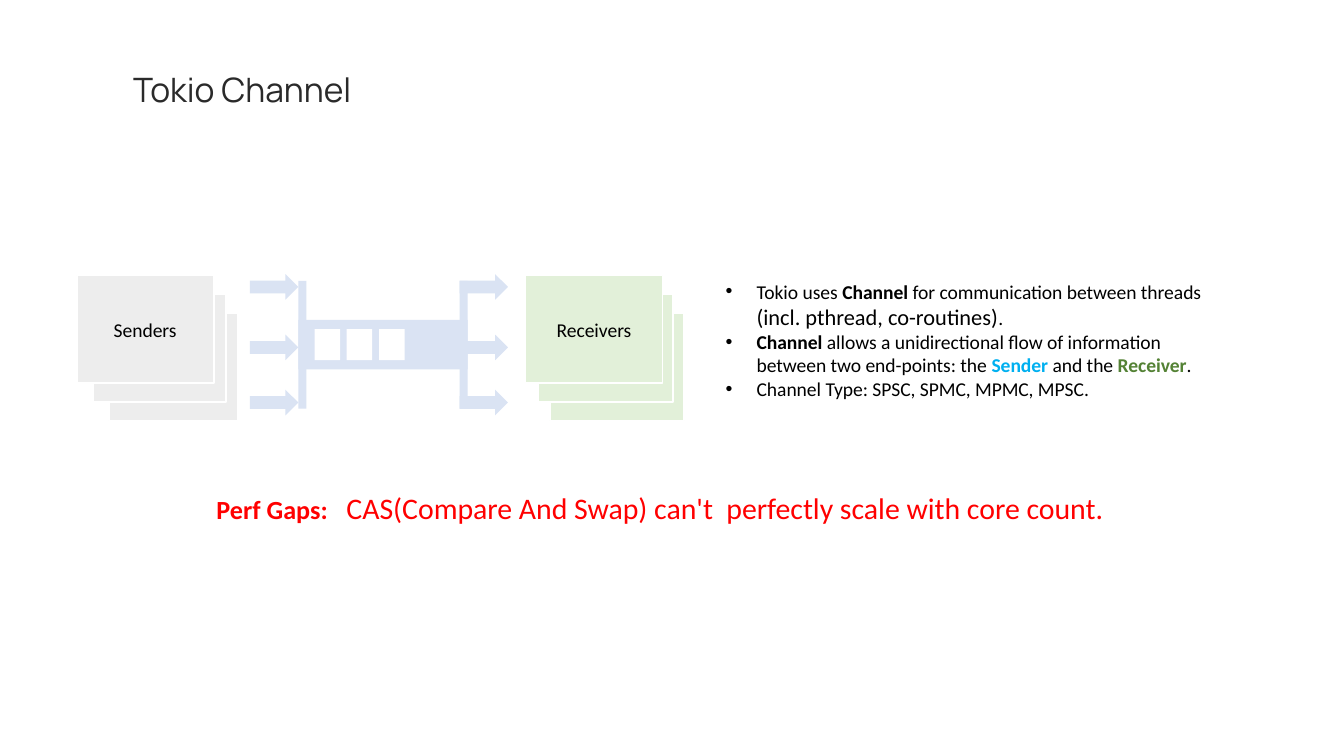
from lxml.etree import SubElement
from pptx import Presentation
from pptx.dml.color import RGBColor
from pptx.enum.shapes import MSO_SHAPE
from pptx.enum.text import MSO_ANCHOR, PP_ALIGN
from pptx.oxml.ns import qn
from pptx.util import Inches, Pt

# Content
COLORS = {
    "title": "2A2A2A", "text": "000000", "sender": "00B0F0", "receiver": "548235",
    "warning": "FF0000", "senders": "EDEDED", "receivers": "E2F0D9",
    "channel": "DAE3F3", "white": "FFFFFF",
}
TITLE = [[("Tokio Channel", {"size": 18, "font": "Manrope", "color": "title"})]]
BULLETS = [
    [("Tokio uses ", {}), ("Channel", {"bold": True}),
     (" for communication between threads ", {}),
     ("(incl. pthread, co-routines)", {"size": 12}), (".", {})],
    [("Channel", {"bold": True}),
     (" allows a unidirectional flow of information between two end-points: the ", {}),
     ("Sender", {"bold": True, "color": "sender"}), (" and the ", {}),
     ("Receiver", {"bold": True, "color": "receiver"}), (".", {})],
    [("Channel Type: SPSC, SPMC, MPMC, MPSC.", {})],
]
PERFORMANCE_GAP = [[
    ("Perf Gaps:  ", {"size": 14, "bold": True, "color": "warning"}),
    (" CAS(Compare And Swap) can't  perfectly scale with core count.",
     {"size": 16, "color": "warning"}),
]]
# Each stack: label, fill, left edge, step to the right, narrowing per card
STACKS = [
    ("Senders", "senders", 0.57, 0.12, 0.03),
    ("Receivers", "receivers", 3.91, 0.09, 0.01),
]

# Diagram grid, in inches
SLIDE_WIDTH, SLIDE_HEIGHT = 10, 10 * 9 / 16
CARD_TOP, CARD_WIDTH, CARD_HEIGHT, CARD_DROP, CARD_COUNT = 2.05, 1.02, 0.8, 0.14, 3
ARROW_WIDTH, ARROW_HEIGHT = 0.36, 0.19
ARROW_TOPS = (2.04, 2.49, 2.9)
PIPE_LEFT, PIPE_RIGHT, PIPE_TOP, PIPE_HEIGHT = 2.22, 3.48, 2.38, 0.37
BAR_WIDTH, BAR_TOP, BAR_HEIGHT = 0.06, 2.09, 0.95
SLOT_LEFT, SLOT_STEP, SLOT_WIDTH, SLOT_HEIGHT, SLOT_COUNT = 2.34, 0.24, 0.19, 0.23, 3


def color(name):
    return RGBColor.from_string(COLORS[name])


def write_text(frame, paragraphs, margins=(0.07, 0.04), align=None,
               anchor=MSO_ANCHOR.TOP, bullet=False):
    frame.word_wrap = True
    frame.vertical_anchor = anchor
    frame.margin_left = frame.margin_right = Inches(margins[0])
    frame.margin_top = frame.margin_bottom = Inches(margins[1])
    for index, runs in enumerate(paragraphs):
        paragraph = frame.paragraphs[0] if index == 0 else frame.add_paragraph()
        paragraph.alignment = align
        if bullet:
            properties = paragraph._p.get_or_add_pPr()
            properties.set("marL", str(Inches(0.23)))
            properties.set("indent", str(-Inches(0.23)))
            SubElement(properties, qn("a:buFont"), typeface="Arial")
            SubElement(properties, qn("a:buChar"), char="•")
        for text, style in runs:
            run = paragraph.add_run()
            run.text = text
            run.font.size = Pt(style.get("size", 10.5))
            run.font.name = style.get("font", "Calibri")
            run.font.bold = style.get("bold", False)
            run.font.color.rgb = color(style.get("color", "text"))


def add_text(slide, box, paragraphs, **text_format):
    shape = slide.shapes.add_textbox(*map(Inches, box))
    write_text(shape.text_frame, paragraphs, **text_format)


def add_block(slide, box, fill, kind=MSO_SHAPE.RECTANGLE, outline=None):
    shape = slide.shapes.add_shape(kind, *map(Inches, box))
    shape.shadow.inherit = False
    shape.fill.solid()
    shape.fill.fore_color.rgb = color(fill)
    if outline:
        shape.line.color.rgb = color(outline)
        shape.line.width = Pt(1)
    else:
        shape.line.fill.background()
    return shape


def add_stack(slide, label, fill, left, step, narrowing):
    # Rear card first, so that the labelled card ends in front
    for depth in reversed(range(CARD_COUNT)):
        box = (left + depth * step, CARD_TOP + depth * CARD_DROP,
               CARD_WIDTH - depth * narrowing, CARD_HEIGHT)
        card = add_block(slide, box, fill, outline="white")
    write_text(card.text_frame, [[(label, {})]], margins=(0.04, 0.04),
               align=PP_ALIGN.CENTER, anchor=MSO_ANCHOR.MIDDLE)


def add_channel(slide):
    add_block(slide, (PIPE_LEFT, PIPE_TOP, PIPE_RIGHT - PIPE_LEFT, PIPE_HEIGHT), "channel")
    # End bars, each with its column of arrows
    outlet = PIPE_RIGHT - BAR_WIDTH
    for bar_left, arrow_left in ((PIPE_LEFT, PIPE_LEFT - ARROW_WIDTH), (outlet, outlet)):
        add_block(slide, (bar_left, BAR_TOP, BAR_WIDTH, BAR_HEIGHT), "channel")
        for top in ARROW_TOPS:
            add_block(slide, (arrow_left, top, ARROW_WIDTH, ARROW_HEIGHT),
                      "channel", kind=MSO_SHAPE.RIGHT_ARROW)
    # Queued messages, centred in the pipe
    slot_top = PIPE_TOP + (PIPE_HEIGHT - SLOT_HEIGHT) / 2
    for index in range(SLOT_COUNT):
        slot_left = SLOT_LEFT + index * SLOT_STEP
        add_block(slide, (slot_left, slot_top, SLOT_WIDTH, SLOT_HEIGHT), "white")


def main():
    presentation = Presentation()
    presentation.slide_width = Inches(SLIDE_WIDTH)
    presentation.slide_height = Inches(SLIDE_HEIGHT)
    slide = presentation.slides.add_slide(presentation.slide_layouts[6])

    # Explanation, diagram, conclusion and title
    add_text(slide, (5.33, 2.04, 3.9, 0.98), BULLETS, bullet=True)
    for stack in STACKS:
        add_stack(slide, *stack)
    add_channel(slide)
    add_text(slide, (1.54, 3.6, 7.58, 0.58), PERFORMANCE_GAP)
    add_text(slide, (0.94, 0.46, 5.01, 0.41), TITLE, margins=(0.05, 0.05))

    presentation.save("out.pptx")


if __name__ == "__main__":
    main()
